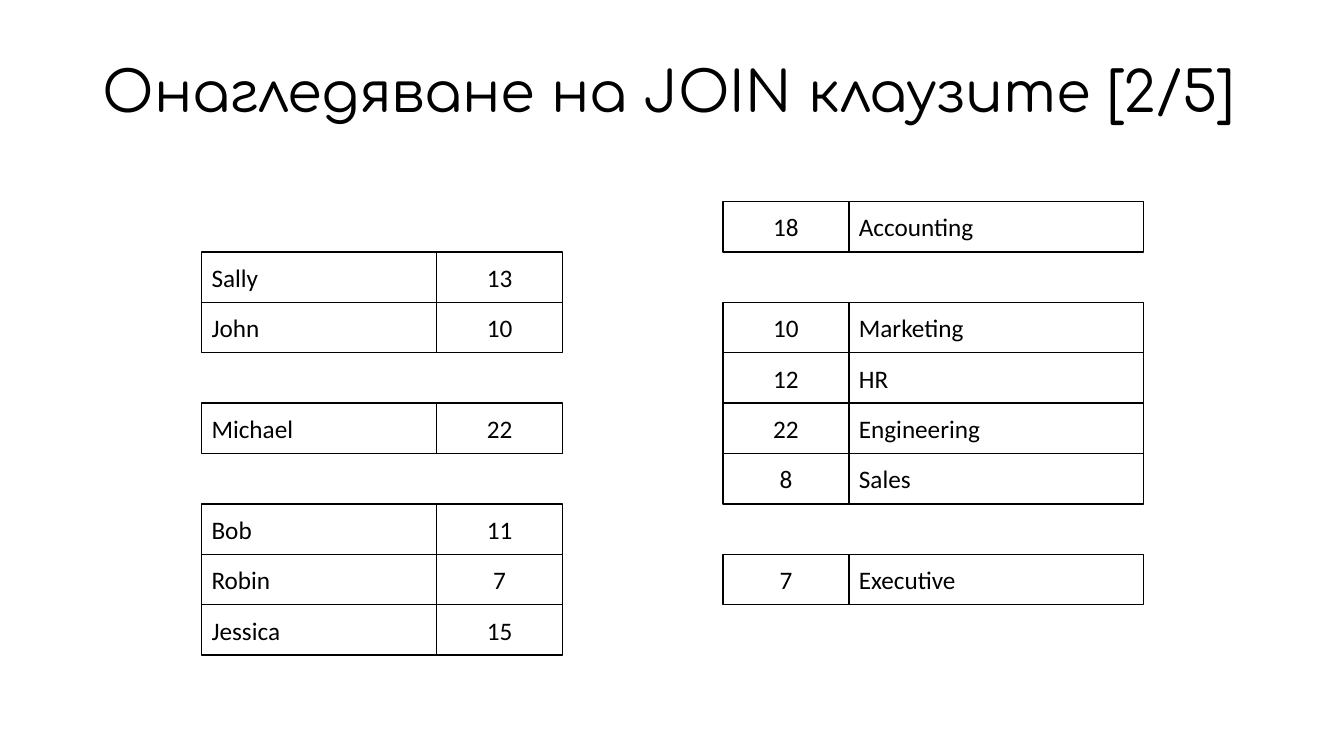
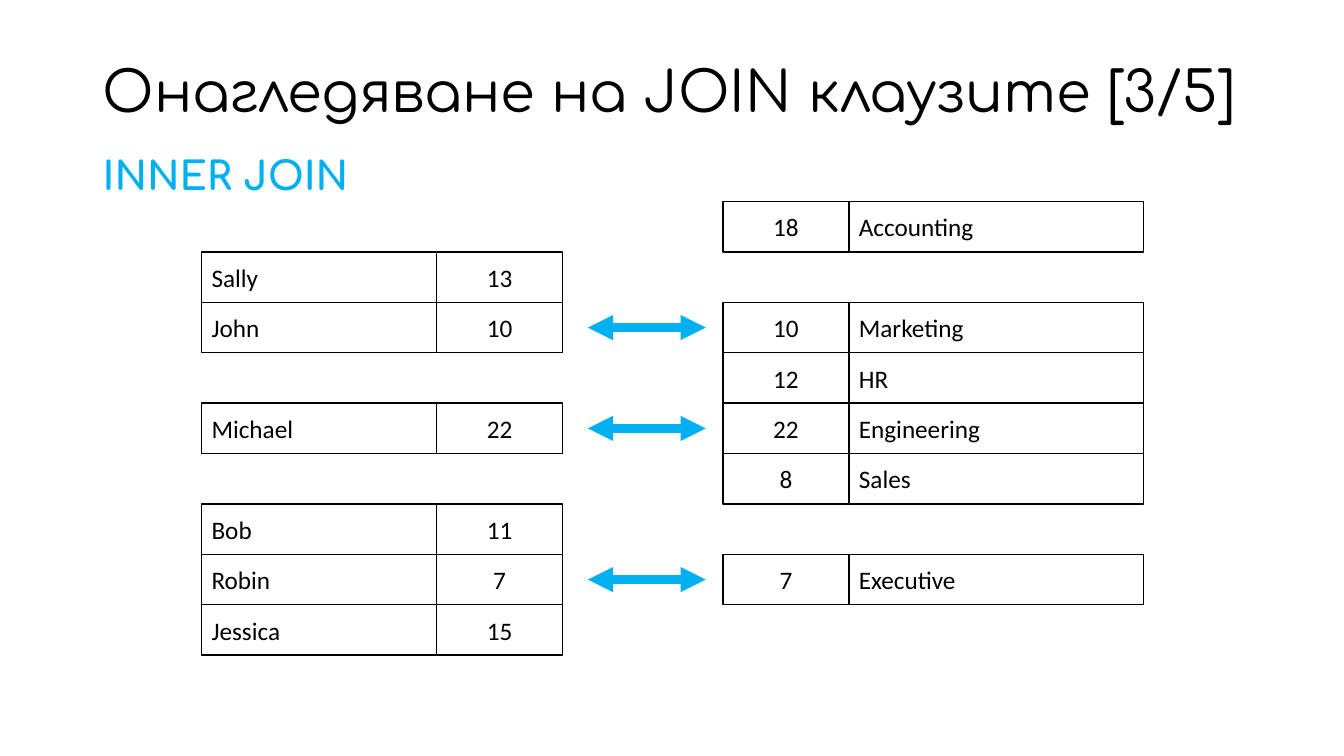
from dataclasses import dataclass
from typing import NamedTuple

from lxml.etree import SubElement
from pptx import Presentation
from pptx.dml.color import RGBColor
from pptx.enum.shapes import MSO_CONNECTOR, MSO_SHAPE
from pptx.enum.text import MSO_ANCHOR, PP_ALIGN
from pptx.oxml.ns import qn
from pptx.presentation import Presentation as Deck
from pptx.slide import Slide
from pptx.text.text import TextFrame
from pptx.util import Inches, Pt


@dataclass(frozen=True)
class Theme:
    ink: RGBColor = RGBColor(0x00, 0x00, 0x00)
    accent: RGBColor = RGBColor(0x00, 0xB0, 0xF0)
    heading_font: str = "Comfortaa"
    cell_font: str = "Calibri"
    title_size: int = 40
    subtitle_size: int = 28
    cell_size: int = 18
    border: int = 1
    arrow: int = 6


class Row(NamedTuple):
    line: int
    key: int
    name: str


class Column(NamedTuple):
    left: float
    width: float
    align: PP_ALIGN


@dataclass(frozen=True)
class Relation:
    key: Column
    name: Column
    rows: tuple[Row, ...]


THEME = Theme()
GRID_TOP = 2.0
ROW_HEIGHT = 0.5
ARROW_LEFT, ARROW_RIGHT = 5.83, 7.0

EMPLOYEES = Relation(
    key=Column(4.33, 1.25, PP_ALIGN.CENTER),
    name=Column(2, 2.33, PP_ALIGN.LEFT),
    rows=(
        Row(1, 13, "Sally"),
        Row(2, 10, "John"),
        Row(4, 22, "Michael"),
        Row(6, 11, "Bob"),
        Row(7, 7, "Robin"),
        Row(8, 15, "Jessica"),
    ),
)
DEPARTMENTS = Relation(
    key=Column(7.17, 1.25, PP_ALIGN.CENTER),
    name=Column(8.42, 2.92, PP_ALIGN.LEFT),
    rows=(
        Row(0, 18, "Accounting"),
        Row(2, 10, "Marketing"),
        Row(3, 12, "HR"),
        Row(4, 22, "Engineering"),
        Row(5, 8, "Sales"),
        Row(7, 7, "Executive"),
    ),
)


def write(tf: TextFrame, text: str, font: str, size: int, color: RGBColor,
          align: PP_ALIGN = PP_ALIGN.LEFT, bold: bool = False) -> None:
    tf.word_wrap = True
    tf.text = text
    p = tf.paragraphs[0]
    p.alignment = align
    r = p.runs[0]
    r.font.name = font
    r.font.size = Pt(size)
    r.font.bold = bold
    r.font.color.rgb = color


def add_heading(s: Slide, text: str, top: float, width: float, height: float, size: int,
                color: RGBColor, anchor: MSO_ANCHOR, bold: bool = False) -> None:
    tf = s.shapes.add_textbox(Inches(0.92), Inches(top), Inches(width), Inches(height)).text_frame
    tf.vertical_anchor = anchor
    write(tf, text, THEME.heading_font, size, color, bold=bold)
    tf.paragraphs[0].line_spacing = 0.9


def add_cell(s: Slide, column: Column, line: int, text: str) -> None:
    sp = s.shapes.add_shape(MSO_SHAPE.RECTANGLE, Inches(column.left),
                            Inches(GRID_TOP + line * ROW_HEIGHT),
                            Inches(column.width), Inches(ROW_HEIGHT))
    sp.shadow.inherit = False
    sp.fill.background()
    sp.line.color.rgb = THEME.ink
    sp.line.width = Pt(THEME.border)
    sp.text_frame.vertical_anchor = MSO_ANCHOR.MIDDLE
    write(sp.text_frame, text, THEME.cell_font, THEME.cell_size, THEME.ink, column.align)


def add_relation(s: Slide, relation: Relation) -> None:
    for row in relation.rows:
        add_cell(s, relation.name, row.line, row.name)
        add_cell(s, relation.key, row.line, str(row.key))


def add_match_arrow(s: Slide, line: int) -> None:
    y = Inches(GRID_TOP + (line + 0.5) * ROW_HEIGHT)
    c = s.shapes.add_connector(MSO_CONNECTOR.STRAIGHT, Inches(ARROW_LEFT), y,
                               Inches(ARROW_RIGHT), y)
    c.line.color.rgb = THEME.accent
    c.line.width = Pt(THEME.arrow)
    ln = c.line._get_or_add_ln()
    for end in ("a:headEnd", "a:tailEnd"):
        SubElement(ln, qn(end), type="triangle")
    SubElement(c._element.spPr, qn("a:effectLst"))


def add_join_slide(prs: Deck, page: int) -> Slide:
    s = prs.slides.add_slide(prs.slide_layouts[6])
    add_heading(s, f"Онагледяване на JOIN клаузите [{page}/5]", 0.4, 11.66, 1.07,
                THEME.title_size, THEME.ink, MSO_ANCHOR.MIDDLE)
    add_relation(s, EMPLOYEES)
    add_relation(s, DEPARTMENTS)
    return s


def add_inner_join(s: Slide) -> None:
    add_heading(s, "INNER JOIN", 1.5, 5, 0.6, THEME.subtitle_size, THEME.accent,
                MSO_ANCHOR.TOP, bold=True)
    department_keys = {row.key for row in DEPARTMENTS.rows}
    for row in EMPLOYEES.rows:
        if row.key in department_keys:
            add_match_arrow(s, row.line)


def main() -> None:
    prs = Presentation()
    prs.slide_width, prs.slide_height = Inches(13.33), Inches(7.5)
    add_join_slide(prs, 2)
    add_inner_join(add_join_slide(prs, 3))
    prs.save("out.pptx")


if __name__ == "__main__":
    main()
